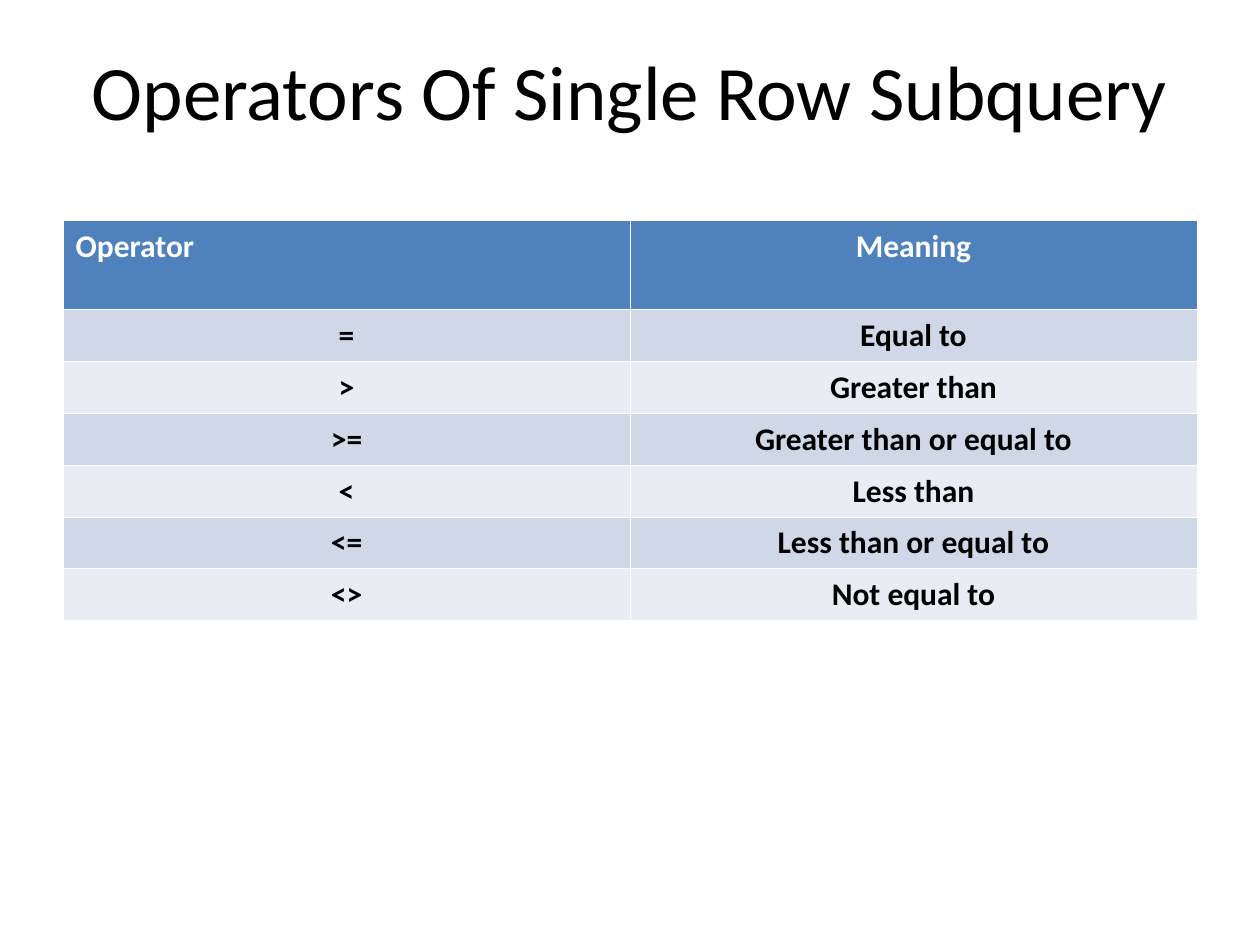
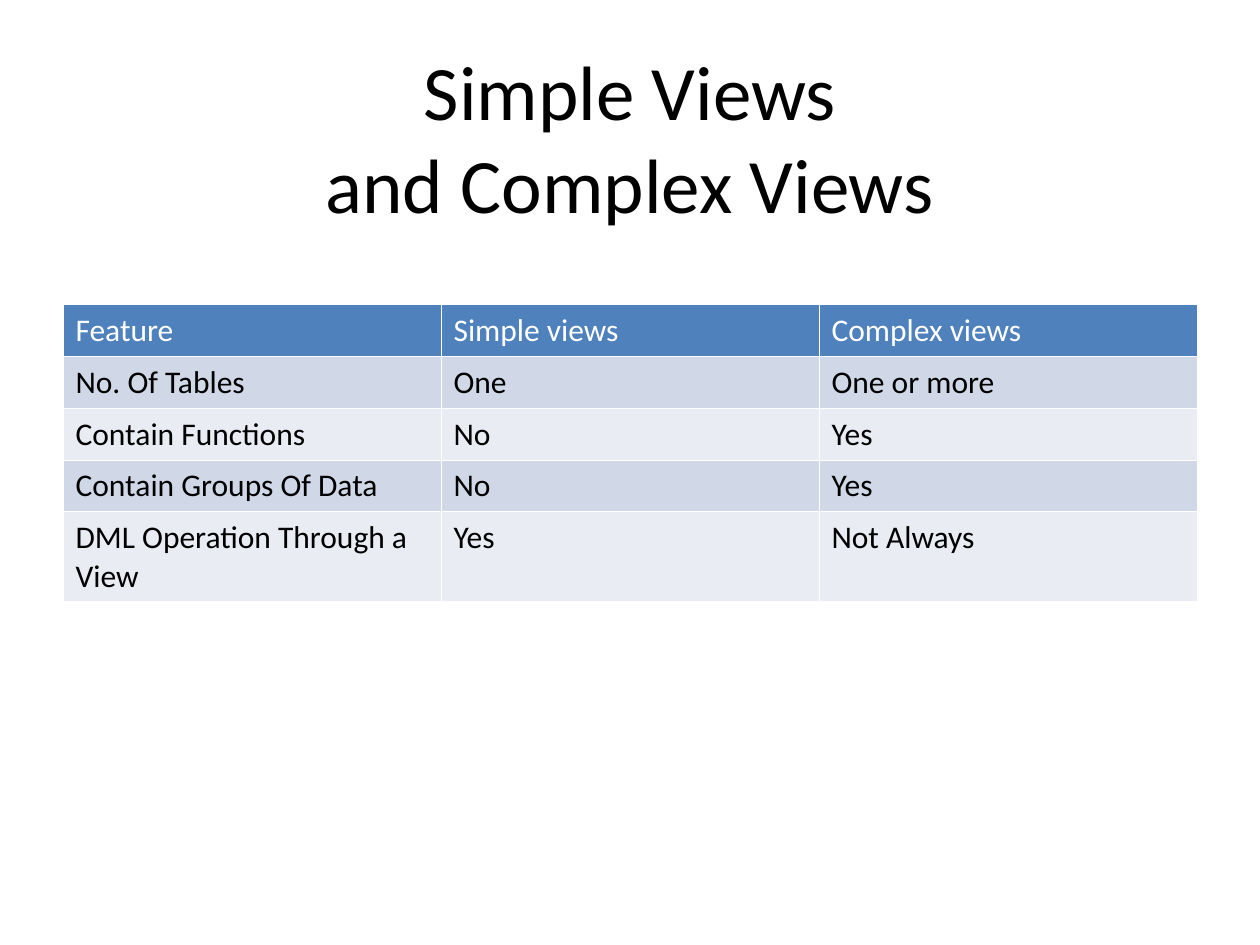
from lxml.etree import SubElement
from pptx import Presentation
from pptx.dml.color import RGBColor
from pptx.enum.text import MSO_ANCHOR, PP_ALIGN as Align
from pptx.oxml.ns import qn
from pptx.util import Pt

SLIDES = [
    {
        "title": "Operators Of Single Row Subquery",
        "table_top": 126,
        "bold": True,
        "align": Align.CENTER,
        "first_cell_align": Align.LEFT,
        "tall_row": 0,
        "rows": [
            ("Operator", "Meaning"),
            ("=", "Equal to"),
            (">", "Greater than"),
            (">=", "Greater than or equal to"),
            ("<", "Less than"),
            ("<=", "Less than or equal to"),
            ("<>", "Not equal to"),
        ],
    },
    {
        "title": "Simple Views\nand Complex Views",
        "table_top": 174,
        "bold": False,
        "align": Align.LEFT,
        "first_cell_align": Align.LEFT,
        "tall_row": 4,
        "rows": [
            ("Feature", "Simple views", "Complex views"),
            ("No. Of Tables", "One", "One or more"),
            ("Contain Functions", "No", "Yes"),
            ("Contain Groups Of Data", "No", "Yes"),
            ("DML Operation Through a View", "Yes", "Not Always"),
        ],
    },
]

COLORS = {
    "text": "000000",
    "header_text": "FFFFFF",
    "header": "4F81BD",
    "odd_row": "D0D8E7",
    "even_row": "E9ECF3",
    "border": "FFFFFF",
}
FONT = "Calibri"
SLIDE_WIDTH, SLIDE_HEIGHT = 720, 540
MARGIN = 36
CONTENT_WIDTH = SLIDE_WIDTH - 2 * MARGIN
TITLE_TOP, TITLE_HEIGHT = 21.6, 90
ROW_HEIGHT, TALL_ROW_HEIGHT = 29.6, 51
BORDER_WIDTH = 0.45


def color(name):
    return RGBColor.from_string(COLORS[name])


def write(paragraph, text, size, color_name, align, bold=False):
    paragraph.text = text
    paragraph.alignment = align
    for run in paragraph.runs:
        run.font.name = FONT
        run.font.size = Pt(size)
        run.font.bold = bold
        run.font.color.rgb = color(color_name)


def add_title(slide, title):
    frame = slide.shapes.add_textbox(
        Pt(MARGIN), Pt(TITLE_TOP), Pt(CONTENT_WIDTH), Pt(TITLE_HEIGHT)
    ).text_frame
    frame.word_wrap = True
    frame.vertical_anchor = MSO_ANCHOR.TOP
    write(frame.paragraphs[0], title, 44, "text", Align.CENTER)


def add_borders(cell):
    properties = cell._tc.get_or_add_tcPr()
    for side in ("a:lnL", "a:lnR", "a:lnT", "a:lnB"):
        line = SubElement(properties, qn(side), w=str(Pt(BORDER_WIDTH)))
        fill = SubElement(line, qn("a:solidFill"))
        SubElement(fill, qn("a:srgbClr"), val=COLORS["border"])


def row_fill(row_index):
    if row_index == 0:
        return "header"
    return "odd_row" if row_index % 2 else "even_row"


def add_feature_table(slide, content):
    rows = content["rows"]
    column_count = len(rows[0])
    heights = [ROW_HEIGHT] * len(rows)
    heights[content["tall_row"]] = TALL_ROW_HEIGHT
    table = slide.shapes.add_table(
        len(rows), column_count,
        Pt(MARGIN), Pt(content["table_top"]), Pt(CONTENT_WIDTH), Pt(sum(heights)),
    ).table
    for column in table.columns:
        column.width = Pt(CONTENT_WIDTH / column_count)

    for r, (values, height) in enumerate(zip(rows, heights)):
        table.rows[r].height = Pt(height)
        for c, value in enumerate(values):
            cell = table.cell(r, c)
            add_borders(cell)
            cell.fill.solid()
            cell.fill.fore_color.rgb = color(row_fill(r))
            paragraph = cell.text_frame.paragraphs[0]
            align = content["first_cell_align" if r == c == 0 else "align"]
            text_color = "text" if r else "header_text"
            write(paragraph, value, 18, text_color, align, content["bold"])
            paragraph.line_spacing = 1.02


def main():
    deck = Presentation()
    deck.slide_width, deck.slide_height = Pt(SLIDE_WIDTH), Pt(SLIDE_HEIGHT)
    for content in SLIDES:
        slide = deck.slides.add_slide(deck.slide_layouts[6])
        add_title(slide, content["title"])
        add_feature_table(slide, content)
    deck.save("out.pptx")


if __name__ == "__main__":
    main()
